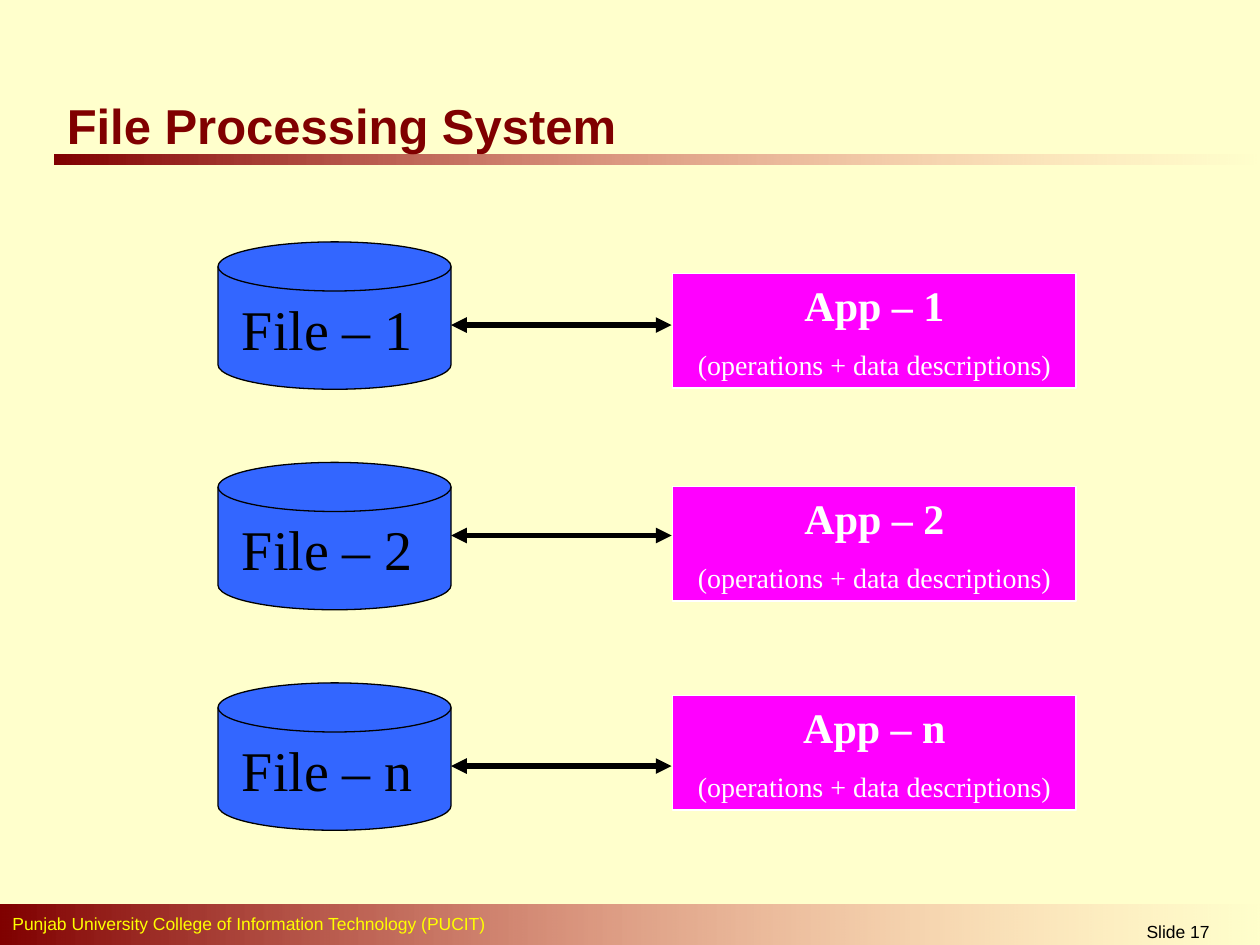
from lxml.etree import SubElement
from pptx import Presentation
from pptx.dml.color import RGBColor
from pptx.enum.shapes import MSO_CONNECTOR, MSO_SHAPE
from pptx.enum.text import MSO_ANCHOR, MSO_AUTO_SIZE, PP_ALIGN
from pptx.oxml.ns import qn
from pptx.util import Inches, Pt


def rgb(value):
    return RGBColor.from_string(value)


class Deck:
    sans, serif = "Arial", "Times New Roman"
    cream, maroon, pink = "FFFFCC", "800000", "FF8585"
    blue, magenta, yellow = "3366FF", "FF00FF", "FFFF00"
    black, white = "000000", "FFFFFF"

    def __init__(self):
        self.prs = Presentation()
        self.prs.slide_width, self.prs.slide_height = Inches(10), Inches(7.5)
        self.s = self.prs.slides.add_slide(self.prs.slide_layouts[5])
        bg = self.s.background.fill
        bg.solid()
        bg.fore_color.rgb = rgb(self.cream)

    def format(self, p, font, size, color, bold=False, align=PP_ALIGN.LEFT):
        p.alignment = align
        for r in p.runs:
            r.font.name, r.font.size, r.font.bold = font, Pt(size), bold
            r.font.color.rgb = rgb(color)

    def shape(self, kind, x, y, w, h):
        sp = self.s.shapes.add_shape(kind, Inches(x), Inches(y), Inches(w), Inches(h))
        sp.shadow.inherit = False
        return sp

    def box(self, kind, x, y, w, h, fill, line):
        sp = self.shape(kind, x, y, w, h)
        sp.fill.solid()
        sp.fill.fore_color.rgb = rgb(fill)
        sp.line.color.rgb = rgb(line)
        sp.line.width = Pt(0.75)
        return sp

    def fading_bar(self, x, y, w, h):
        sp = self.shape(MSO_SHAPE.RECTANGLE, x, y, w, h)
        sp.line.fill.background()
        sp.fill.gradient()
        sp.fill.gradient_angle = 0
        for stop, color in zip(sp.fill.gradient_stops, (self.maroon, self.pink)):
            stop.color.rgb = rgb(color)
        end_color = list(sp._element.spPr.iter(qn("a:srgbClr")))[-1]
        SubElement(end_color, qn("a:alpha"), val="0")

    def title(self, text, x, y, w, h):
        sp = self.s.shapes.title
        sp.left, sp.top, sp.width, sp.height = map(Inches, (x, y, w, h))
        tf = sp.text_frame
        tf.text = text
        tf.auto_size = MSO_AUTO_SIZE.NONE
        tf.vertical_anchor = MSO_ANCHOR.MIDDLE
        self.format(tf.paragraphs[0], self.sans, 28, self.maroon, True)

    def label(self, text, x, y, w, h, color, align=PP_ALIGN.LEFT):
        tf = self.s.shapes.add_textbox(Inches(x), Inches(y), Inches(w), Inches(h)).text_frame
        tf.word_wrap = True
        tf.text = text
        self.format(tf.paragraphs[0], self.sans, 10, color, align=align)

    def file_disk(self, text, x, y, w, h):
        sp = self.box(MSO_SHAPE.FLOWCHART_MAGNETIC_DISK, x, y, w, h, self.blue, self.black)
        tf = sp.text_frame
        tf.word_wrap = False
        tf.vertical_anchor = MSO_ANCHOR.MIDDLE
        tf.text = text
        self.format(tf.paragraphs[0], self.serif, 32, self.black, align=PP_ALIGN.CENTER)

    def app_box(self, name, detail, x, y, w, h):
        sp = self.box(MSO_SHAPE.RECTANGLE, x, y, w, h, self.magenta, self.white)
        tf = sp.text_frame
        tf.word_wrap = True
        tf.vertical_anchor = MSO_ANCHOR.TOP
        tf.text = name
        self.format(tf.paragraphs[0], self.serif, 24, self.white, True, PP_ALIGN.CENTER)
        p = tf.add_paragraph()
        p.text = detail
        p.space_before = Pt(10)
        self.format(p, self.serif, 16, self.white, align=PP_ALIGN.CENTER)

    def double_arrow(self, x1, x2, y):
        cx = self.s.shapes.add_connector(
            MSO_CONNECTOR.STRAIGHT, Inches(x1), Inches(y), Inches(x2), Inches(y))
        cx.line.color.rgb = rgb(self.black)
        cx.line.width = Pt(3)
        spPr = cx._element.spPr
        for end in ("a:headEnd", "a:tailEnd"):
            SubElement(spPr.find(qn("a:ln")), qn(end), type="triangle")
        SubElement(spPr, qn("a:effectLst"))


def main():
    deck = Deck()
    deck.fading_bar(0.43, 1.23, 9.57, 0.08)
    deck.fading_bar(0, 7.18, 10.03, 0.35)
    deck.label("Punjab University College of Information Technology (PUCIT)",
               0, 7.2, 6.42, 0.27, deck.yellow)
    deck.label("Slide 17", 8.31, 7.26, 2.08, 0.24, deck.black, PP_ALIGN.CENTER)
    deck.title("File Processing System", 0.43, 0.68, 4.75, 0.63)

    rows = [("1", 2.17, 2.58), ("2", 3.86, 4.25), ("n", 5.52, 6.08)]
    for i, (key, app_top, arrow_y) in enumerate(rows):
        deck.file_disk(f"File – {key} ", 1.73, 1.92 + 1.75 * i, 1.85, 1.17)
        deck.app_box(f"App – {key}", "(operations + data descriptions)",
                     5.34, app_top, 3.2, 0.91)
        deck.double_arrow(3.58, 5.33, arrow_y)
    deck.prs.save("out.pptx")


if __name__ == "__main__":
    main()
